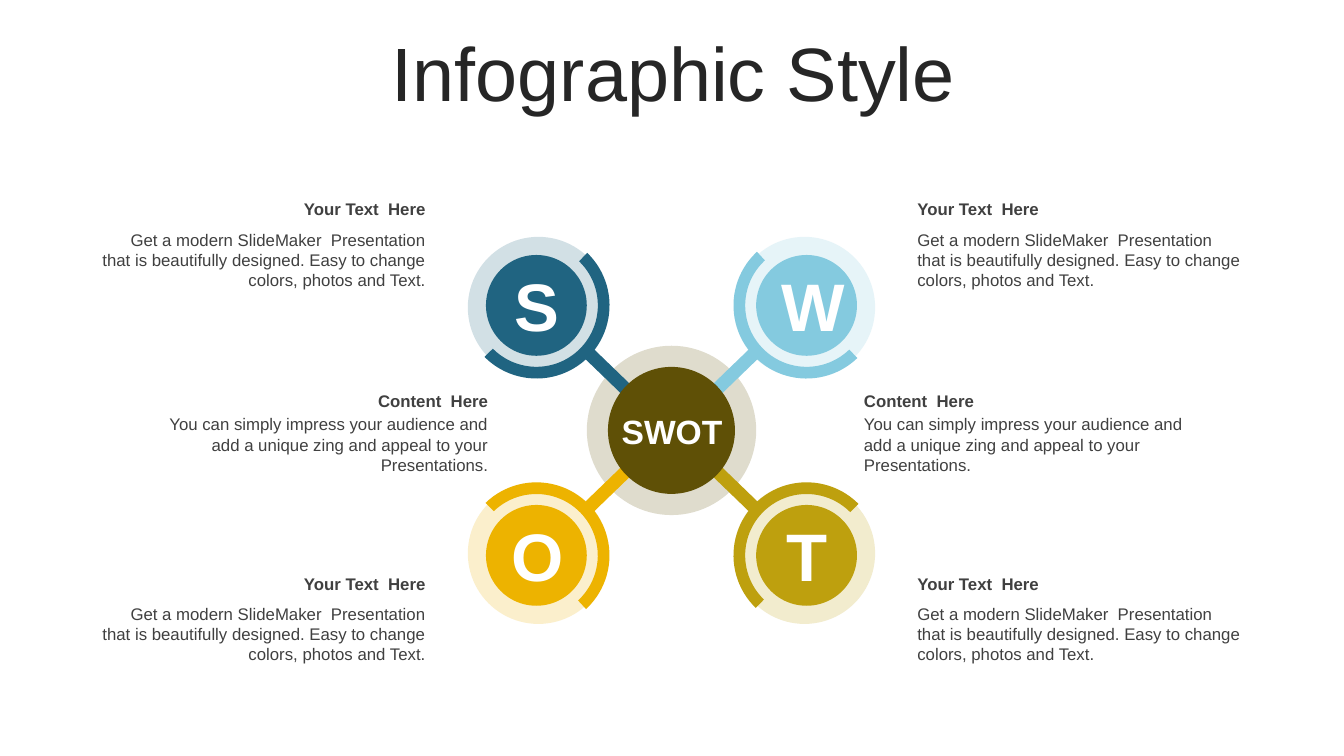
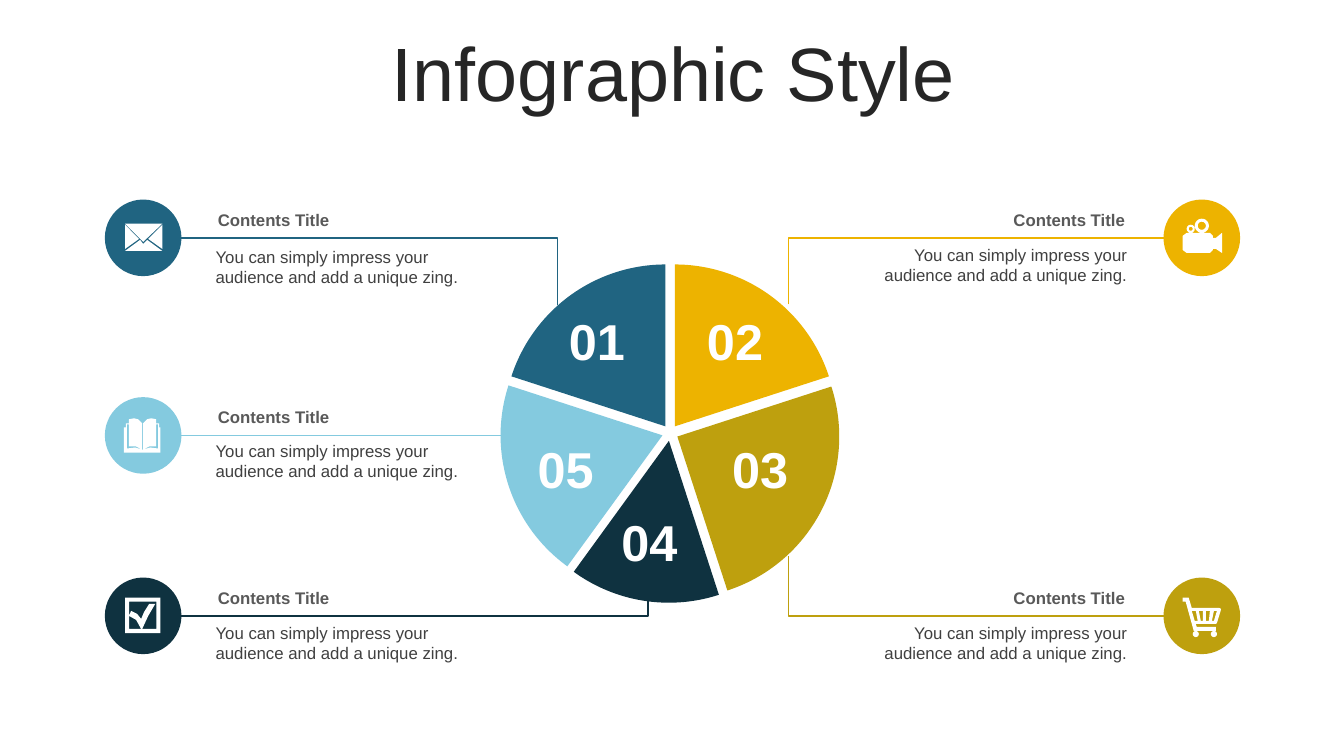
from math import cos, pi, sin

from lxml import etree
from pptx import Presentation
from pptx.chart.data import CategoryChartData
from pptx.dml.color import RGBColor
from pptx.enum.chart import XL_CHART_TYPE
from pptx.enum.shapes import MSO_CONNECTOR, MSO_SHAPE
from pptx.enum.text import MSO_ANCHOR, PP_ALIGN
from pptx.oxml import parse_xml
from pptx.oxml.ns import nsdecls, qn
from pptx.util import Inches, Pt

OVAL, RECT, ARC = MSO_SHAPE.OVAL, MSO_SHAPE.RECTANGLE, MSO_SHAPE.BLOCK_ARC
ELBOW, STRAIGHT = MSO_CONNECTOR.ELBOW, MSO_CONNECTOR.STRAIGHT
LEFT, CENTER, RIGHT = PP_ALIGN.LEFT, PP_ALIGN.CENTER, PP_ALIGN.RIGHT
TOP, MIDDLE = MSO_ANCHOR.TOP, MSO_ANCHOR.MIDDLE

FONT = "Arial"
BLUE, SKY, AMBER, OLIVE = "206481", "84CADF", "EDB300", "BEA00E"
BROWN, NAVY, WHITE = "5F5006", "0F3240", "FFFFFF"
INK, GREY, BODY = "262626", "595959", "404040"

TITLE = "Infographic Style"

# SWOT slide: letter, colour, horizontal and vertical side of the hub
HUB_X, HUB_Y = 6.66, 4.27
SPOKES = [("S", BLUE, -1, -1), ("W", SKY, 1, -1),
          ("O", AMBER, -1, 1), ("T", OLIVE, 1, 1)]
MODERN = ("Get a modern SlideMaker  Presentation that is beautifully designed. "
          "Easy to change colors, photos and Text.")
IMPRESS = ("You can simply impress your audience and add a unique zing "
           "and appeal to your Presentations.")
# heading, body, heading top, body top, left x, right x, width
SWOT_ROWS = [
    ("Your Text  Here", MODERN, 1.92, 2.23, 0.91, 9.0, 3.41),
    ("Content  Here", IMPRESS, 3.83, 4.06, 1.42, 8.47, 3.52),
    ("Your Text  Here", MODERN, 5.64, 5.94, 0.91, 9.0, 3.41),
]

# Pie slide: value, colour, clockwise from the top
SLICES = [(20, AMBER), (25, OLIVE), (15, NAVY), (20, SKY), (20, BLUE)]
NUMBERS = [("01", 5.92, 3.03), ("02", 7.29, 3.03), ("03", 7.54, 4.3),
           ("04", 6.44, 5.02), ("05", 5.61, 4.3)]
CONTENTS_TITLE = "Contents Title"
CONTENTS_BODY = "You can simply impress your audience and add a unique zing."
BADGE = 0.76


def circle(cx, cy, radius, steps=24):
    return [(cx + radius * cos(2 * pi * i / steps),
             cy + radius * sin(2 * pi * i / steps)) for i in range(steps)]


# Icon outlines, in hundredths of an inch from the badge centre
ENVELOPE = [
    [(-18, -14), (19, -14), (0, 4)],
    [(-18, -13), (-4, 1), (-18, 11)],
    [(19, -13), (19, 11), (5, 1)],
    [(-18, 13), (-3, 2), (0, 6), (4, 2), (19, 13)],
]
BOOK = [
    [(0, 14), (7, 12), (15, 13), (15, -11), (13, -11), (13, 11), (6, 11),
     (0, 14), (0, -12), (4, -16), (8, -17), (13, -16), (13, -12), (16, -12),
     (16, -8), (17, -8), (17, 17), (-19, 17), (-19, -8), (-17, -8),
     (-17, -12), (-14, -12), (-14, -16), (-9, -17), (-5, -16), (-1, -12),
     (-1, 14), (-7, 11), (-14, 11), (-14, -11), (-16, -11), (-16, 13),
     (-8, 12), (-1, 14)],
]
CHECKBOX = [
    [(-18, -18), (17, -18), (17, 17), (-18, 17)],
    [(-14, -14), (13, -14), (13, 13), (-14, 13)],
    [(-2, 13), (-7, 4), (-14, 0), (-12, -5), (-6, -2), (-2, 3), (1, -4),
     (6, -12), (12, -12), (5, 0), (-1, 13)],
]
CART = [
    [(-13, -18), (-10, -8), (17, -8), (19, -7), (19, -6), (15, 7), (14, 8),
     (-6, 8), (-5, 11), (14, 11), (14, 15), (-8, 15), (-16, -14),
     (-19, -14), (-19, -18)],
    [(12, -5), (10, 5), (12, 5), (15, -5)],
    [(4, -5), (4, 5), (7, 5), (8, -5)],
    [(-3, -5), (-1, 5), (1, 5), (1, -5)],
    [(-10, -5), (-7, 5), (-4, 5), (-6, -5)],
    circle(12, 18, 3), circle(-6, 18, 3),
]
CAMERA = [
    [(-15, -5), (8, -5), (11, -2), (11, 0), (14, 0), (20, -5), (20, 15),
     (14, 11), (11, 11), (11, 12), (8, 15), (-15, 15), (-19, 12), (-19, -2)],
    circle(0, -12, 7), circle(0, -12, 4),
    circle(-11, -9, 4), circle(-11, -9, 2),
]

# icon, colour, on the left, line y, body top, point where the line meets the pie
CALLOUTS = [
    (ENVELOPE, BLUE, True, 2.36, 2.4, (5.53, 3.03)),
    (BOOK, SKY, True, 4.32, 4.32, (5.04, 4.32)),
    (CHECKBOX, NAVY, True, 6.11, 6.13, (6.43, 5.95)),
    (CAMERA, AMBER, False, 2.36, 2.38, (7.82, 3.02)),
    (CART, OLIVE, False, 6.11, 6.13, (7.82, 5.52)),
]


def rgb(color):
    return RGBColor.from_string(color)


def paint(shape, color, opacity=None):
    """Fill flat, without outline or shadow; opacity is in percent."""
    shape.shadow.inherit = False
    shape.line.fill.background()
    shape.fill.solid()
    shape.fill.fore_color.rgb = rgb(color)
    if opacity:
        clr = shape.fill._xPr.find(".//" + qn("a:srgbClr"))
        etree.SubElement(clr, qn("a:alpha")).set("val", str(opacity * 1000))


def add_centered(s, kind, cx, cy, w, h, color, opacity=None, rotation=0):
    shape = s.shapes.add_shape(kind, Inches(cx - w / 2), Inches(cy - h / 2),
                               Inches(w), Inches(h))
    shape.rotation = rotation
    paint(shape, color, opacity)
    return shape


def add_text(s, text, x, y, w, h, size, color, bold=False, align=LEFT,
             anchor=TOP, inset=0.1):
    tf = s.shapes.add_textbox(Inches(x), Inches(y), Inches(w), Inches(h)).text_frame
    tf.word_wrap = True
    tf.vertical_anchor = anchor
    tf.margin_left = tf.margin_right = Inches(inset)
    p = tf.paragraphs[0]
    p.alignment = align
    r = p.add_run()
    r.text = text
    r.font.name, r.font.size, r.font.bold = FONT, Pt(size), bold
    r.font.color.rgb = rgb(color)
    return p


def add_titled_slide(prs):
    s = prs.slides.add_slide(prs.slide_layouts[6])
    p = add_text(s, TITLE, 0.35, 0.37, 12.66, 0.79, 54, INK,
                 align=CENTER, anchor=MIDDLE)
    p.line_spacing = 0.9
    return s


def add_line(s, kind, start, end, color):
    """An elbow leaves its start vertically, then runs level to its end."""
    line = s.shapes.add_connector(kind, *map(Inches, start + end))
    line.line.color.rgb = rgb(color)
    line.line.width = Pt(1.25)
    sp_pr = line._element.spPr
    etree.SubElement(sp_pr, qn("a:effectLst"))
    if kind == ELBOW:
        guide = etree.SubElement(sp_pr.prstGeom.get_or_add_avLst(), qn("a:gd"))
        guide.set("name", "adj1")
        guide.set("fmla", "val 0")


def add_icon(s, outlines, cx, cy):
    contours = [[(x * 10, y * 10) for x, y in points] for points in outlines]
    builder = s.shapes.build_freeform(*contours[0][0], scale=Inches(1) / 1000)
    builder.add_line_segments(contours[0][1:])
    for points in contours[1:]:
        builder.move_to(*points[0])
        builder.add_line_segments(points[1:])
    paint(builder.convert_to_shape(Inches(cx), Inches(cy)), WHITE)


def add_pie(s):
    data = CategoryChartData()
    data.categories = [str(i + 1) for i in range(len(SLICES))]
    data.add_series("Series 1", [value for value, _ in SLICES])
    chart = s.shapes.add_chart(XL_CHART_TYPE.PIE, Inches(4.89), Inches(2.57),
                               Inches(3.55), Inches(3.45), data).chart
    chart.has_title = chart.has_legend = False
    chart.font.name, chart.font.size = FONT, Pt(18)
    chart.font.color.rgb = rgb("000000")
    plot = chart.plots[0]
    plot.vary_by_categories = True
    series = plot.series[0]
    series._element.find(qn("c:tx")).addnext(
        parse_xml(f'<c:explosion {nsdecls("c")} val="5"/>'))
    for i, (_, color) in enumerate(SLICES):
        fill = series.points[i].format.fill
        fill.solid()
        fill.fore_color.rgb = rgb(color)
    area = chart._chartSpace.find(".//" + qn("c:plotArea"))
    for layout in area.findall(qn("c:layout")):
        area.remove(layout)
    area.insert(0, parse_xml(
        f'<c:layout {nsdecls("c")}><c:manualLayout><c:layoutTarget val="inner"/>'
        '<c:xMode val="edge"/><c:yMode val="edge"/><c:x val="0.02"/>'
        '<c:y val="0.01"/><c:w val="0.95"/><c:h val="0.98"/>'
        '</c:manualLayout></c:layout>'))


def build_swot(prs):
    s = add_titled_slide(prs)
    centers = [(HUB_X + 1.34 * dx, HUB_Y + 1.24 * dy) for _, _, dx, dy in SPOKES]
    for (_, color, dx, dy), (cx, cy) in zip(SPOKES, centers):
        add_centered(s, OVAL, cx - 0.02 * dx, cy - 0.02 * dy, 1.4, 1.4, color, 20)
    add_centered(s, OVAL, HUB_X, HUB_Y, 1.68, 1.68, BROWN, 20)
    for (letter, color, dx, dy), (cx, cy) in zip(SPOKES, centers):
        add_centered(s, RECT, HUB_X + 0.65 * dx, HUB_Y + 0.6 * dy, 0.57, 0.13,
                     color, rotation=44 * dx * dy)
        add_centered(s, OVAL, cx, cy, 1, 1, color)
        toward_hub = -dx * (46 if dy > 0 else 134)
        arc = add_centered(s, ARC, cx, cy, 1.45, 1.45, color, rotation=toward_hub)
        for i, value in enumerate((108, 0.74, 0.08)):
            arc.adjustments[i] = value
        add_text(s, letter, cx - 0.35, cy - 0.46, 0.71, 0.91, 48, WHITE, True,
                 CENTER, MIDDLE)
    for heading, body, y, body_y, left_x, right_x, w in SWOT_ROWS:
        for x, align in ((left_x, RIGHT), (right_x, LEFT)):
            add_text(s, heading, x, y, w, 0.3, 12, BODY, True, align)
            add_text(s, body, x, body_y, w, 0.71, 12, BODY, align=align)
    add_centered(s, OVAL, HUB_X, HUB_Y, 1.26, 1.26, BROWN)
    add_text(s, "SWOT", 6.02, 4.03, 1.29, 0.5, 24, WHITE, True, CENTER)


def build_pie(prs):
    s = add_titled_slide(prs)
    add_pie(s)
    for number, cx, y in NUMBERS:
        add_text(s, number, cx - 0.4, y, 0.8, 0.71, 36, WHITE, True, CENTER)
    for icon, color, on_left, y, body_y, pie_point in CALLOUTS:
        badge_x, x, align, side = ((1.42, 2.04, LEFT, 1) if on_left
                                   else (11.92, 8.28, RIGHT, -1))
        kind = STRAIGHT if pie_point[1] == y else ELBOW
        add_line(s, kind, pie_point, (badge_x + side * BADGE / 2, y), color)
        add_centered(s, OVAL, badge_x, y, BADGE, BADGE, color)
        add_icon(s, icon, badge_x, y)
        add_text(s, CONTENTS_TITLE, x, y - 0.33, 3, 0.3, 12, GREY, True, align,
                 inset=0.12)
        add_text(s, CONTENTS_BODY, x, body_y, 3, 0.5, 12, BODY, align=align)


def main():
    prs = Presentation()
    prs.slide_width, prs.slide_height = Inches(13.33), Inches(7.5)
    build_swot(prs)
    build_pie(prs)
    prs.save("out.pptx")


if __name__ == "__main__":
    main()
